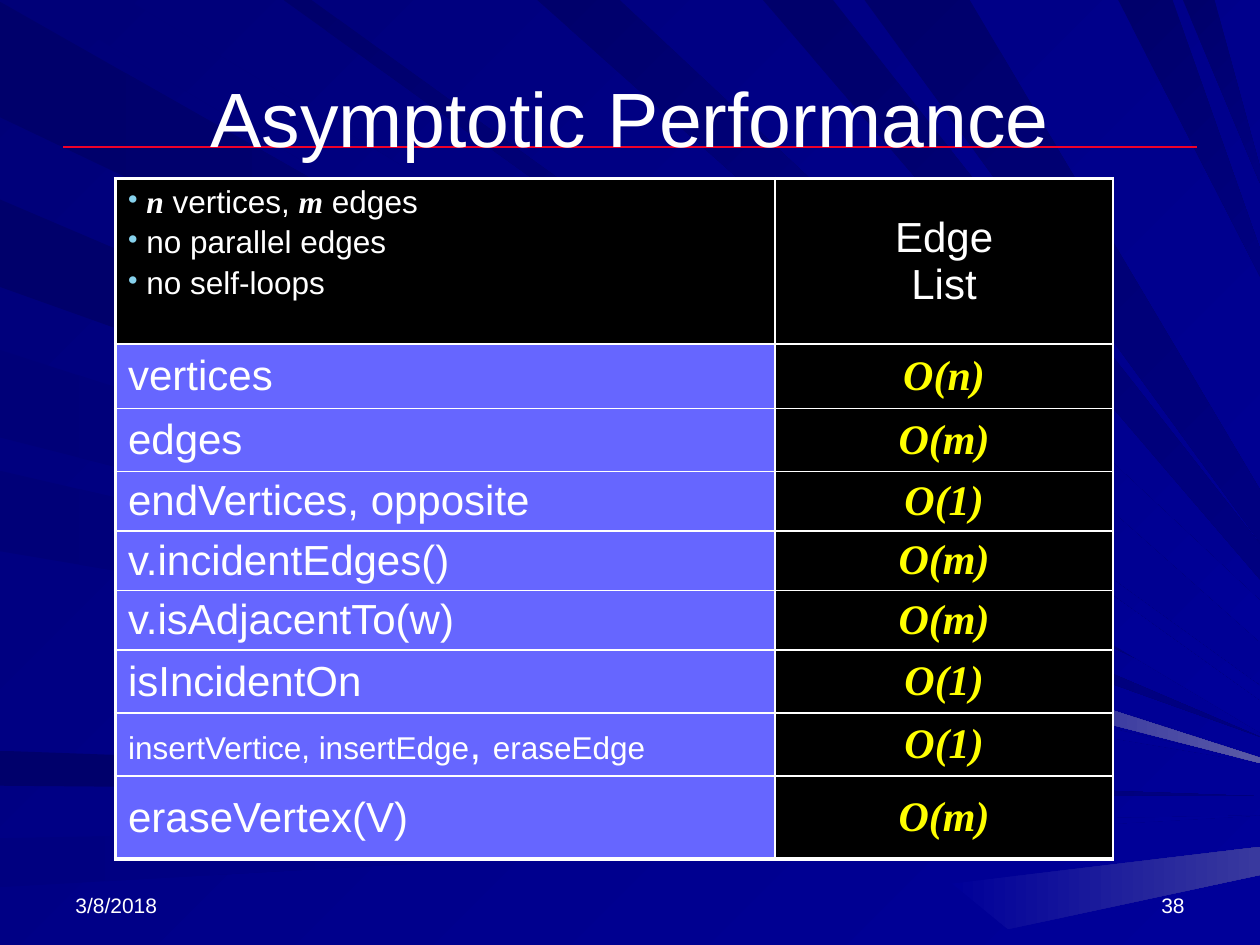
from lxml import etree
from pptx import Presentation
from pptx.dml.color import RGBColor
from pptx.enum.shapes import MSO_CONNECTOR
from pptx.enum.text import MSO_ANCHOR, PP_ALIGN
from pptx.oxml.ns import qn
from pptx.util import Pt

STRAIGHT = MSO_CONNECTOR.STRAIGHT
TOP, MIDDLE, BOTTOM = MSO_ANCHOR.TOP, MSO_ANCHOR.MIDDLE, MSO_ANCHOR.BOTTOM
LEFT, CENTER, RIGHT = PP_ALIGN.LEFT, PP_ALIGN.CENTER, PP_ALIGN.RIGHT

WHITE = RGBColor.from_string("FFFFFF")
BLACK = RGBColor.from_string("000000")
YELLOW = RGBColor.from_string("FFFF00")
PERIWINKLE = RGBColor.from_string("6666FF")
SKY = RGBColor.from_string("86D1EC")
CRIMSON = RGBColor.from_string("EF0129")
MIDNIGHT = RGBColor.from_string("00006B")
DUSK = RGBColor.from_string("000078")
NAVY = RGBColor.from_string("000080")
ROYAL = RGBColor.from_string("000099")
MIST = RGBColor.from_string("39399E")
GLOW = RGBColor.from_string("5A5AA6")

TITLE = {"name": "Arial", "size": Pt(44), "bold": False, "color": WHITE}
SMALL = {"name": "Arial", "size": Pt(12), "color": WHITE}
NOTE = {"name": "Arial", "size": Pt(18), "color": WHITE}
LABEL = {**NOTE, "size": Pt(24)}
SYMBOL = {**NOTE, "name": "Times New Roman", "bold": True, "italic": True}
COST = {**SYMBOL, "size": Pt(24), "color": YELLOW}

SIDE_RAYS = [
    (1, 67, 410, MIDNIGHT, NAVY),
    (114, 164, 421, MIDNIGHT, NAVY),
    (200, 250, 433, DUSK, ROYAL),
    (269, 315, 436, DUSK, ROYAL),
    (429, 449, 455, MIDNIGHT, NAVY),
    (479, 507, 466, NAVY, ROYAL),
]
TOP_RAYS = [
    (19, 73, 405, DUSK, ROYAL),
    (162, 178, 396, MIDNIGHT, ROYAL),
    (307, 354, 355, MIDNIGHT, ROYAL),
    (436, 476, 321, MIDNIGHT, NAVY),
    (494, 554, 295, MIDNIGHT, NAVY),
    (639, 670, 150, MIDNIGHT, NAVY),
    (676, 694, 100, MIDNIGHT, NAVY),
]
FACETS = [
    (ROYAL, MIST, [(720, 500), (720, 484), (544, 505), (576, 531)]),
    (ROYAL, GLOW, [(720, 433), (459, 349), (456, 368), (720, 436)]),
]

ASSUMPTIONS = [
    [("n", SYMBOL), (" vertices, ", NOTE), ("m", SYMBOL), (" edges", NOTE)],
    [("no parallel edges", NOTE)],
    [("no self-loops", NOTE)],
]
OPERATIONS = [
    (37, [("vertices", LABEL)], "O(n)"),
    (36, [("edges", LABEL)], "O(m)"),
    (34, [("endVertices, opposite", LABEL)], "O(1)"),
    (34, [("v.incidentEdges()", LABEL)], "O(m)"),
    (34, [("v.isAdjacentTo(w)", LABEL)], "O(m)"),
    (36, [("isIncidentOn", LABEL)], "O(1)"),
    (36, [("insertVertice, insertEdge", NOTE), (", ", LABEL), ("eraseEdge", NOTE)], "O(1)"),
    (47.5, [("eraseVertex(V)", LABEL)], "O(m)"),
]


def write_runs(paragraph, runs, alignment=LEFT):
    """Write formatted runs, turning newlines into line breaks."""
    paragraph.alignment = alignment
    for text, style in runs:
        for index, line in enumerate(text.split("\n")):
            if index:
                paragraph.add_line_break()
            run = paragraph.add_run()
            run.text = line
            for name, value in style.items():
                if name == "color":
                    run.font.color.rgb = value
                else:
                    setattr(run.font, name, value)


def add_bullet(paragraph):
    """Give a paragraph a hanging sky-blue bullet."""
    properties = paragraph._p.get_or_add_pPr()
    properties.set("marL", str(Pt(10.5)))
    properties.set("indent", str(-Pt(10.5)))
    color = etree.SubElement(properties, qn("a:buClr"))
    etree.SubElement(color, qn("a:srgbClr"), val=str(SKY))
    etree.SubElement(properties, qn("a:buSzPct"), val="90000")
    etree.SubElement(properties, qn("a:buChar"), char="•")


def fill_gradient(fill, start, end, angle):
    """Fill from start to end at a clockwise angle."""
    fill.gradient()
    fill.gradient_angle = -angle % 360
    for stop, color in zip(fill.gradient_stops, (start, end)):
        stop.color.rgb = color


def draw_ray(slide, outline, start, end, angle):
    """Draw one ray with a gradient and no line."""
    points = [(Pt(x), Pt(y)) for x, y in outline]
    builder = slide.shapes.build_freeform(*points[0], scale=1.0)
    builder.add_line_segments(points[1:], close=True)
    ray = builder.convert_to_shape()
    ray.shadow.inherit = False
    ray.line.fill.background()
    fill_gradient(ray.fill, start, end, angle)


def place_rays(slide, left, top, width):
    """Draw the background, with rays narrowing towards the right edge."""
    fill_gradient(slide.background.fill, DUSK, ROYAL, 45)
    right = left + width
    for near, far, finish, start, end in SIDE_RAYS:
        outline = [(left, top + near), (left, top + far), (right, top + finish)]
        draw_ray(slide, outline, start, end, 0)
    for near, far, finish, start, end in TOP_RAYS:
        spread = (far - near) / 4
        outline = [(left + near, top), (left + far, top),
                   (right, top + finish - spread), (right, top + finish + spread)]
        draw_ray(slide, outline, start, end, 45)
    for start, end, outline in FACETS:
        draw_ray(slide, [(left + x, top + y) for x, y in outline], start, end, 0)


def place_title(slide, left, top, width, height):
    """Place the title in front of its crimson rule."""
    rule_top = Pt(top + 62.5)
    rule = slide.shapes.add_connector(STRAIGHT, Pt(left), rule_top, Pt(left + width), rule_top)
    rule.line.color.rgb = CRIMSON
    rule.line.width = Pt(0.75)
    etree.SubElement(rule._element.spPr, qn("a:effectLst"))
    title = slide.shapes.title
    title.left, title.top, title.width, title.height = map(Pt, (left, top, width, height))
    title.text_frame.vertical_anchor = MIDDLE
    write_runs(title.text_frame.paragraphs[0], [("Asymptotic Performance", TITLE)], CENTER)
    title.element.getparent().append(title.element)


def format_cell(cell, color, anchor, borders):
    """Set the borders, fill and anchor of a cell."""
    properties = cell._tc.get_or_add_tcPr()
    for side, width in borders.items():
        line = etree.SubElement(properties, qn(f"a:ln{side}"), w=str(Pt(width)))
        fill = etree.SubElement(line, qn("a:solidFill"))
        etree.SubElement(fill, qn("a:srgbClr"), val=str(WHITE))
    cell.fill.solid()
    cell.fill.fore_color.rgb = color
    cell.vertical_anchor = anchor


def place_table(slide, left, top, width, height):
    """Place the table of operations and their costs."""
    last = len(OPERATIONS)
    frame = slide.shapes.add_table(last + 1, 2, Pt(left), Pt(top), Pt(width), Pt(height))
    table = frame.table
    table.first_row = table.horz_banding = False
    table.columns[0].width, table.columns[1].width = Pt(377), Pt(width - 377)
    operation_heights = [operation[0] for operation in OPERATIONS]
    heights = [height - sum(operation_heights)] + operation_heights
    for row, row_height in enumerate(heights):
        table.rows[row].height = Pt(row_height)
        for column in range(2):
            borders = {"L": 1 if column else 2.25, "R": 1,
                       "T": 1 if row else 2.25, "B": 2.25 if row == last else 1}
            color = PERIWINKLE if row and not column else BLACK
            anchor = MIDDLE if row or column else TOP
            format_cell(table.cell(row, column), color, anchor, borders)
    text_frame = table.cell(0, 0).text_frame
    for index, runs in enumerate(ASSUMPTIONS):
        paragraph = text_frame.add_paragraph() if index else text_frame.paragraphs[0]
        add_bullet(paragraph)
        if index:
            paragraph.space_before = Pt(3)
        write_runs(paragraph, runs)
    write_runs(table.cell(0, 1).text_frame.paragraphs[0], [("Edge\nList", LABEL)], CENTER)
    for row, (_, runs, cost) in enumerate(OPERATIONS, 1):
        write_runs(table.cell(row, 0).text_frame.paragraphs[0], runs)
        write_runs(table.cell(row, 1).text_frame.paragraphs[0], [(cost, COST)], CENTER)


def place_footer(slide, left, top, width, height):
    """Place the date and slide number at the two ends of the footer."""
    part = 168
    for text, x, alignment in (("3/8/2018", left, LEFT), ("38", left + width - part, RIGHT)):
        box = slide.shapes.add_textbox(Pt(x), Pt(top), Pt(part), Pt(height))
        box.text_frame.word_wrap = True
        box.text_frame.vertical_anchor = BOTTOM
        write_runs(box.text_frame.paragraphs[0], [(text, SMALL)], alignment)


def main():
    """Build and save the presentation."""
    presentation = Presentation()
    presentation.slide_width, presentation.slide_height = Pt(720), Pt(540)
    slide = presentation.slides.add_slide(presentation.slide_layouts[5])
    place_rays(slide, 0, 0, 720)
    place_footer(slide, 36, 492, 648, 36)
    place_title(slide, 36, 21.6, 648, 90)
    place_table(slide, 66, 102, 570, 389)
    presentation.save("out.pptx")


if __name__ == "__main__":
    main()
